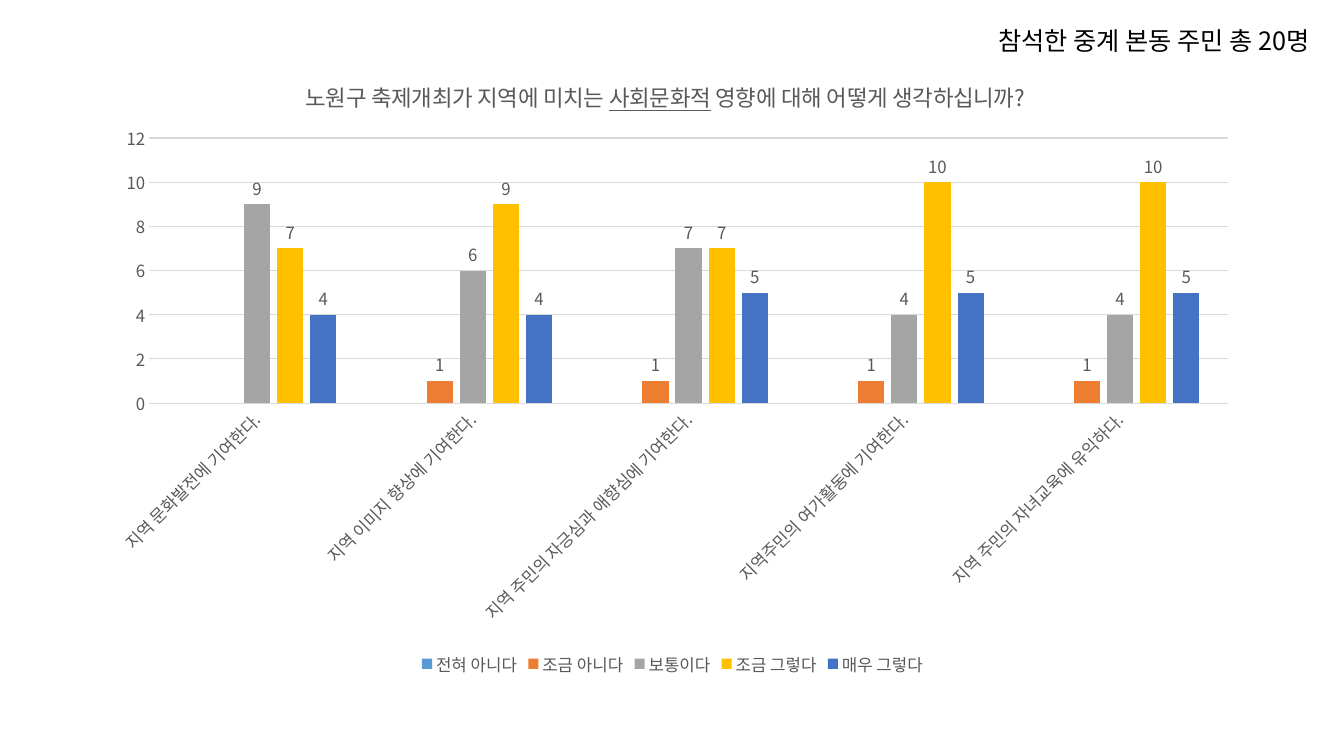
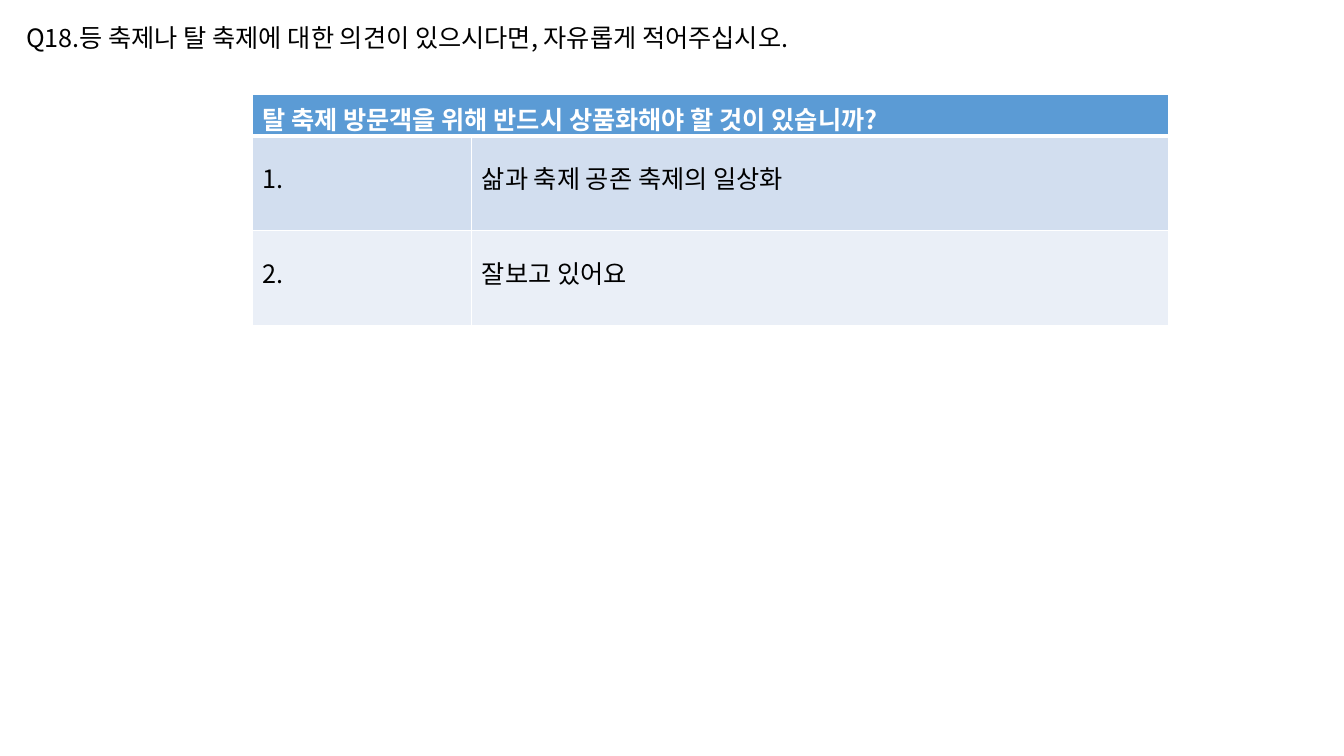
from lxml import etree
from pptx import Presentation
from pptx.chart.data import CategoryChartData
from pptx.dml.color import RGBColor
from pptx.enum.chart import XL_CHART_TYPE as ChartType
from pptx.enum.chart import XL_LABEL_POSITION as LabelPos
from pptx.enum.chart import XL_LEGEND_POSITION as LegendPos
from pptx.enum.chart import XL_TICK_MARK as TickMark
from pptx.enum.text import MSO_AUTO_SIZE as AutoSize
from pptx.oxml import parse_xml
from pptx.oxml.ns import nsdecls, qn
from pptx.util import Inches, Pt

THEME = {
    "font": "Noto Sans CJK KR",
    "black": "000000", "white": "FFFFFF", "gray": "595959", "grid": "D9D9D9",
    "header": "5B9BD5", "rows": ["D2DEEF", "EAEFF7"],
    "series": ["5B9BD5", "ED7D31", "A5A5A5", "FFC000", "4472C4"],
    "body": 18, "title": 16, "label": 12,
}


def style(font, size, color, **more):
    for name, value in {"name": THEME["font"], "size": Pt(size), "bold": False, **more}.items():
        setattr(font, name, value)
    font.color.rgb = RGBColor.from_string(THEME[color])
    # Korean text takes its typeface from a:ea
    etree.SubElement(font._element, qn("a:ea")).set("typeface", THEME["font"])


def set_layout(parent, **values):
    """Place a chart part by fractions of the chart's size."""
    old = parent.find(qn("c:layout"))
    index = 0
    if old is not None:
        index = parent.index(old)
        parent.remove(old)
    tags = "".join(f'<c:{k} val="{v}"/>' for k, v in values.items())
    parent.insert(index, parse_xml(
        f'<c:layout {nsdecls("c")}><c:manualLayout>{tags}</c:manualLayout></c:layout>'))


prs = Presentation()
prs.slide_width, prs.slide_height = Inches(13.33), Inches(7.5)

# Both slides open with a one-line heading
headings = [
    ("참석한 중계 본동 주민 총 20명", 9.8, 0.2, 3.78),
    ("Q18.등 축제나 탈 축제에 대한 의견이 있으시다면, 자유롭게 적어주십시오.", 0.16, 0.17, 8.57),
]
slides = []
for text, left, top, width in headings:
    s = prs.slides.add_slide(prs.slide_layouts[6])
    tf = s.shapes.add_textbox(Inches(left), Inches(top), Inches(width), Inches(0.4)).text_frame
    tf.word_wrap = False
    tf.auto_size = AutoSize.SHAPE_TO_FIT_TEXT
    r = tf.paragraphs[0].add_run()
    r.text = text
    style(r.font, THEME["body"], "black")
    slides.append(s)
chart_slide, table_slide = slides

# Survey chart
data = CategoryChartData()
data.categories = [
    "지역 문화발전에 기여한다.",
    "지역 이미지 향상에 기여한다.",
    "지역 주민의 자긍심과 애향심에 기여한다.",
    "지역주민의 여가활동에 기여한다.",
    "지역 주민의 자녀교육에 유익하다.",
]
answers = {
    "전혀 아니다": [None] * 5,
    "조금 아니다": [None, 1, 1, 1, 1],
    "보통이다": [9, 6, 7, 4, 4],
    "조금 그렇다": [7, 9, 7, 10, 10],
    "매우 그렇다": [4, 4, 5, 5, 5],
}
for name, values in answers.items():
    data.add_series(name, values)

left, top, width, height = 0.92, 0.53, 11.5, 6.22
chart = chart_slide.shapes.add_chart(
    ChartType.COLUMN_CLUSTERED, Inches(left), Inches(top), Inches(width), Inches(height), data).chart

chart.has_title = True
p = chart.chart_title.text_frame.paragraphs[0]
for text, underline in [("노원구 축제개최가 지역에 미치는 ", False), ("사회문화적", True),
                        (" 영향에 대해 어떻게 생각하십니까?", False)]:
    r = p.add_run()
    r.text = text
    style(r.font, THEME["title"], "gray", underline=underline)
set_layout(chart.chart_title._element, xMode="edge", yMode="edge",
           x=(3.0 - left) / width, y=(0.76 - top) / height)
set_layout(chart._chartSpace.chart.plotArea, layoutTarget="inner", xMode="edge", yMode="edge",
           x=(1.48 - left) / width, y=(1.37 - top) / height, w=10.7 / width, h=2.63 / height)

chart.has_legend = True
chart.legend.position = LegendPos.BOTTOM
chart.legend.include_in_layout = False

cat_axis, val_axis = chart.category_axis, chart.value_axis
for axis in (cat_axis, val_axis):
    axis.major_tick_mark = axis.minor_tick_mark = TickMark.NONE
val_axis.minimum_scale, val_axis.maximum_scale, val_axis.major_unit = 0, 12, 2
val_axis.format.line.fill.background()
for line in (cat_axis.format.line, val_axis.major_gridlines.format.line):
    line.color.rgb = RGBColor.from_string(THEME["grid"])
    line.width = Pt(0.75)

plot = chart.plots[0]
plot.gap_width, plot.overlap, plot.vary_by_categories = 219, -27, False
labelled = [chart.legend, cat_axis.tick_labels, val_axis.tick_labels]
for series, color in zip(plot.series, THEME["series"]):
    series.format.fill.solid()
    series.format.fill.fore_color.rgb = RGBColor.from_string(color)
    labels = series.data_labels
    labels.show_value = True
    labels.position = LabelPos.OUTSIDE_END
    labelled.append(labels)
for part in labelled:
    style(part.font, THEME["label"], "gray")
cat_axis._element.find(qn("c:txPr")).find(qn("a:bodyPr")).set("rot", str(-45 * 60000))

# Opinion table
rows = [
    ["탈 축제 방문객을 위해 반드시 상품화해야 할 것이 있습니까?", ""],
    ["1.", "삶과 축제 공존 축제의 일상화"],
    ["2.", "잘보고 있어요"],
]
col_widths, row_heights = [2.18, 6.91], [0.41, 0.94, 0.94]
table = table_slide.shapes.add_table(
    len(rows), len(col_widths), Inches(2.5), Inches(0.94),
    Inches(sum(col_widths)), Inches(sum(row_heights))).table
for column, width in zip(table.columns, col_widths):
    column.width = Inches(width)
for row, height in zip(table.rows, row_heights):
    row.height = Inches(height)
table.cell(0, 0).merge(table.cell(0, 1))

for i, texts in enumerate(rows):
    is_header = i == 0
    fill = THEME["header"] if is_header else THEME["rows"][i - 1]
    borders = {"L": 1, "R": 1, "T": 3 if i == 1 else 1, "B": 3 if is_header else 1}
    for j, text in enumerate(texts):
        cell = table.cell(i, j)
        tcPr = cell._tc.get_or_add_tcPr()
        for side, points in borders.items():
            tcPr.append(parse_xml(
                f'<a:ln{side} {nsdecls("a")} w="{Pt(points)}"><a:solidFill>'
                f'<a:srgbClr val="{THEME["white"]}"/></a:solidFill></a:ln{side}>'))
        cell.fill.solid()
        cell.fill.fore_color.rgb = RGBColor.from_string(fill)
        if not text:
            continue
        p = cell.text_frame.paragraphs[0]
        if not is_header:
            p.line_spacing = 1.5
        r = p.add_run()
        r.text = text
        style(r.font, THEME["body"], "white" if is_header else "black", bold=is_header)

prs.save("out.pptx")
